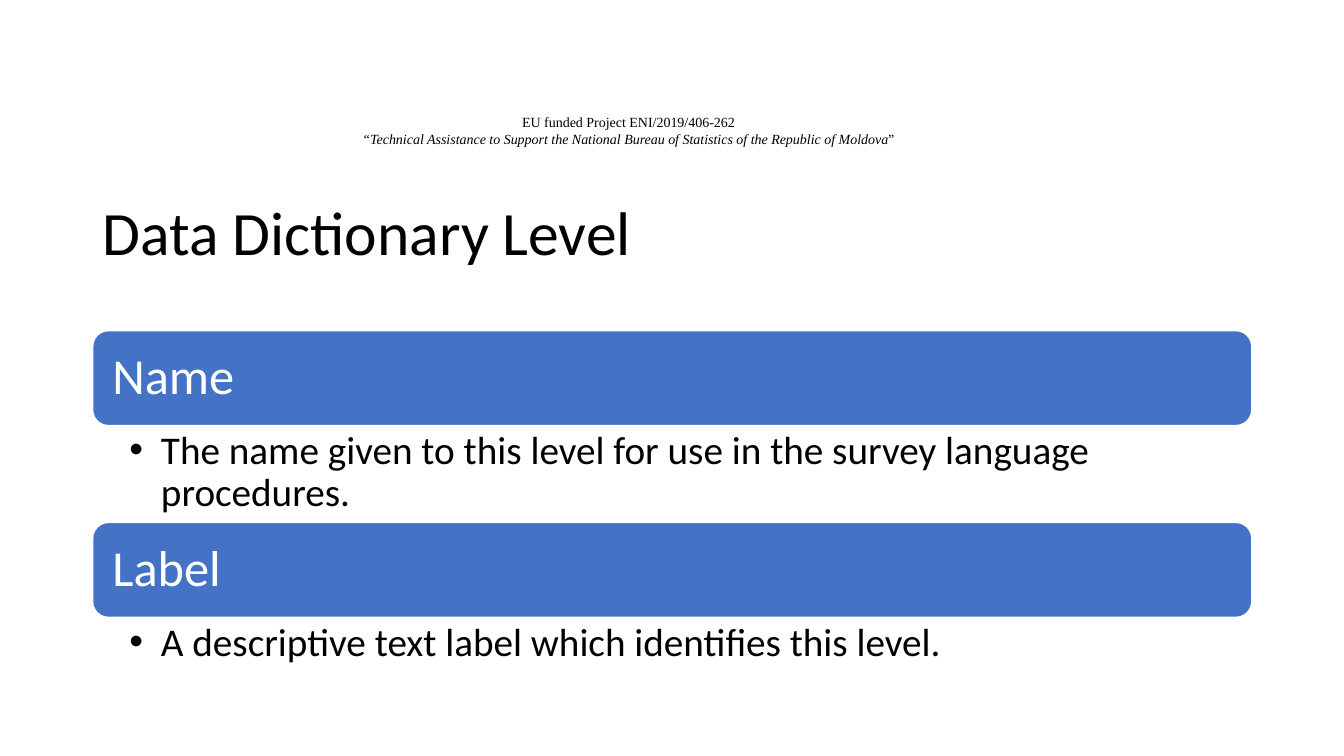
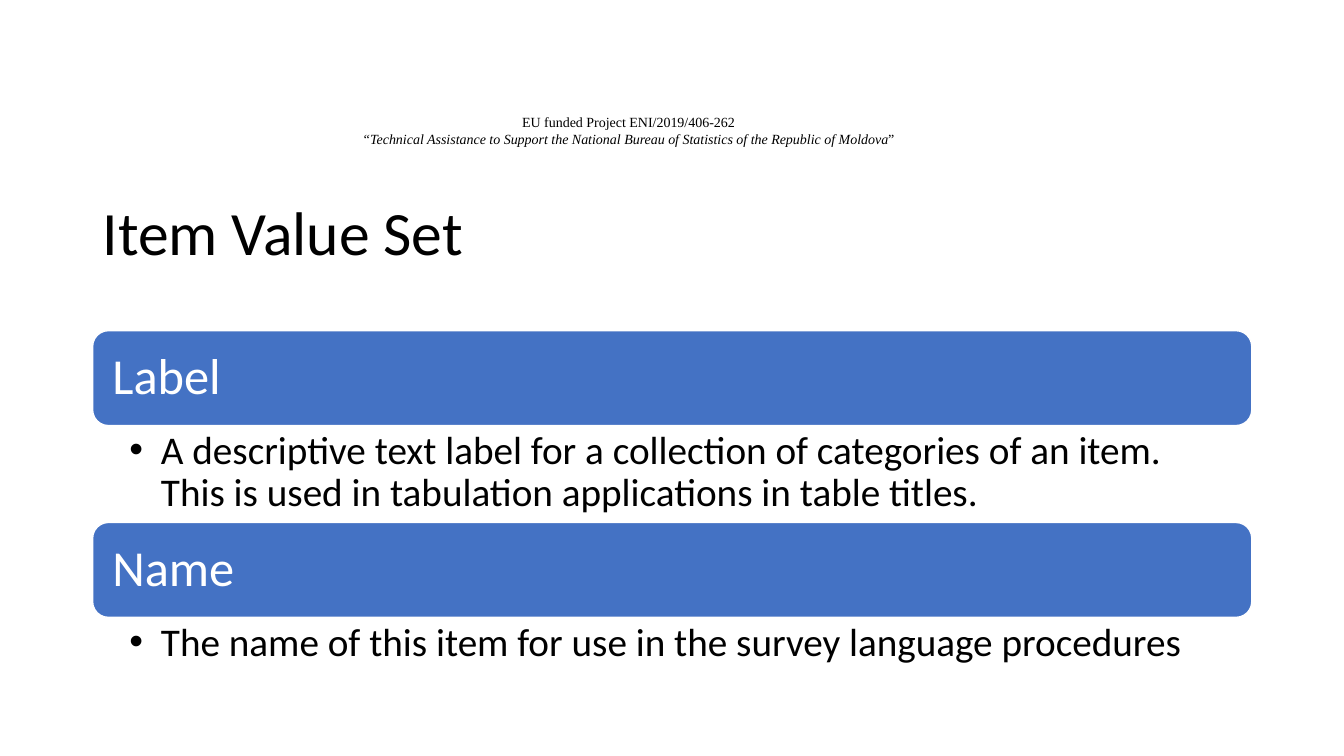
from dataclasses import dataclass

from lxml.etree import SubElement
from pptx import Presentation
from pptx.dml.color import RGBColor
from pptx.enum.shapes import MSO_SHAPE as Preset
from pptx.enum.text import MSO_ANCHOR as Anchor, PP_ALIGN as Align
from pptx.oxml.ns import qn
from pptx.util import Pt


@dataclass(frozen=True)
class Theme:
    """Colours, fonts and type sizes shared by all slides."""
    ink: RGBColor = RGBColor(0x00, 0x00, 0x00)
    paper: RGBColor = RGBColor(0xFF, 0xFF, 0xFF)
    band: RGBColor = RGBColor(0x44, 0x72, 0xC4)
    body_font: str = "Calibri"
    header_font: str = "Times New Roman"
    header_size: float = 10
    title_size: float = 44
    band_size: float = 36
    detail_size: float = 28


THEME = Theme()
LEFT, WIDTH = 66.2, 828
STACK_TOP = 236.2
BAND_HEIGHT = 67.8

PROJECT = "EU funded Project ENI/2019/406-262"
PROJECT_TITLE = ("Technical Assistance to Support the National Bureau of "
                 "Statistics of the Republic of Moldova")

# Each entry: band label, explanation, height of the explanation
SLIDES = [
    ("Data Dictionary Level", [
        ("Name", "The name given to this level for use in the survey language "
                 "procedures.", 69.2),
        ("Label", "A descriptive text label which identifies this level.", 46.8),
    ]),
    ("Item Value Set", [
        ("Label", "A descriptive text label for a collection of categories of "
                  "an item. This is used in tabulation applications in table "
                  "titles.", 69.2),
        ("Name", "The name of this item for use in the survey language "
                 "procedures", 46.8),
    ]),
]


def style_span(span, size, color=THEME.ink, font=THEME.body_font):
    """Set the size, colour and font of one run."""
    span.font.size = Pt(size)
    span.font.color.rgb = color
    span.font.name = font


def set_line(frame, text, size, color=THEME.ink):
    """Fill a frame with one left-aligned, tightly spaced paragraph."""
    frame.word_wrap = True
    frame.text = text
    para = frame.paragraphs[0]
    para.alignment = Align.LEFT
    para.line_spacing = 0.9
    style_span(para.runs[0], size, color)
    return para


def add_bullet(para, indent):
    """Give a paragraph a round bullet with a hanging indent in points."""
    properties = para._p.get_or_add_pPr()
    properties.set("marL", str(Pt(indent)))
    properties.set("indent", str(-Pt(indent)))
    SubElement(properties, qn("a:buFont")).set("typeface", "Arial")
    SubElement(properties, qn("a:buChar")).set("char", "•")


def add_header(page):
    """Add the centred project lines above the title."""
    box = page.shapes.add_textbox(Pt(208.8), Pt(77.8), Pt(480.2), Pt(31.7))
    frame = box.text_frame
    frame.word_wrap = True
    frame.text = PROJECT
    subtitle = frame.add_paragraph()
    for text, italic in (("“" + PROJECT_TITLE, True), ("”", False)):
        span = subtitle.add_run()
        span.text = text
        span.font.italic = italic
    for para in frame.paragraphs:
        para.alignment = Align.CENTER
        for span in para.runs:
            style_span(span, THEME.header_size, font=THEME.header_font)


def add_title(page, text):
    """Add the slide title."""
    box = page.shapes.add_textbox(Pt(LEFT), Pt(115.9), Pt(WIDTH), Pt(104.4))
    box.text_frame.vertical_anchor = Anchor.MIDDLE
    set_line(box.text_frame, text, THEME.title_size)


def add_band(page, top, label):
    """Add a rounded band that carries a label."""
    band = page.shapes.add_shape(Preset.ROUNDED_RECTANGLE, Pt(LEFT), Pt(top),
                                 Pt(WIDTH), Pt(BAND_HEIGHT))
    band.shadow.inherit = False
    band.fill.solid()
    band.fill.fore_color.rgb = THEME.band
    band.line.color.rgb = THEME.paper
    band.line.width = Pt(1)
    frame = band.text_frame
    frame.margin_left = frame.margin_right = Pt(10.8)
    frame.vertical_anchor = Anchor.MIDDLE
    set_line(frame, label, THEME.band_size, THEME.paper)


def add_detail(page, top, height, text):
    """Add the bulleted explanation below a band."""
    box = page.shapes.add_textbox(Pt(LEFT), Pt(top), Pt(WIDTH), Pt(height))
    frame = box.text_frame
    frame.margin_left, frame.margin_right = Pt(26.3), Pt(20.2)
    para = set_line(frame, text, THEME.detail_size)
    add_bullet(para, 22.5)


def add_definitions(page, definitions):
    """Stack bands and their explanations without gaps."""
    top = STACK_TOP
    for label, text, height in definitions:
        add_band(page, top, label)
        top += BAND_HEIGHT
        add_detail(page, top, height, text)
        top += height


def main():
    """Build the deck and save it."""
    deck = Presentation()
    deck.slide_width, deck.slide_height = Pt(960), Pt(540)
    for title, definitions in SLIDES:
        page = deck.slides.add_slide(deck.slide_layouts[6])
        add_header(page)
        add_title(page, title)
        add_definitions(page, definitions)
    deck.save("out.pptx")


main()
